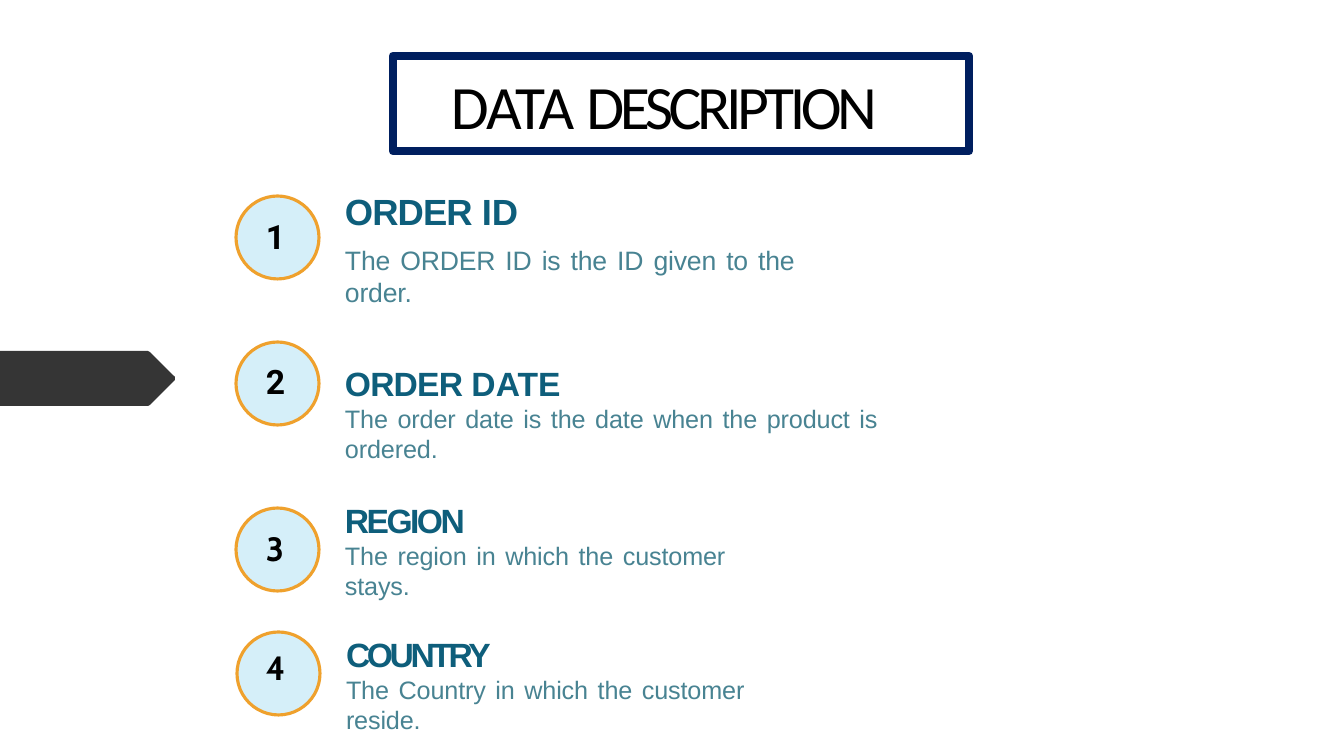
from dataclasses import dataclass

from pptx import Presentation
from pptx import util as u
from pptx.dml.color import RGBColor
from pptx.enum import shapes, text

EMU_PER_PX = 914400 / 100.8


@dataclass(frozen=True)
class Theme:
    """Colours, fonts and type sizes of the slide."""
    arrow: str = "353535"
    disc: str = "D5EFF9"
    ring: str = "EFA12D"
    frame: str = "001F5F"
    heading: str = "0E5E7B"
    body: str = "488392"
    ink: str = "000000"
    title_font: str = "Calibri"
    text_font: str = "Arial"
    title_size: int = 44
    digit_size: int = 24
    word_gap: float = 1.8


@dataclass(frozen=True)
class Span:
    text: str
    tracking: float = 0


@dataclass(frozen=True)
class Entry:
    digit_font: str
    disc_left: int
    disc_top: int
    digit_top: int
    left: int
    top: int
    width: int
    heading: tuple[Span, ...]
    body: str
    heading_size: int = 24
    body_size: int = 18
    inset: int = 1
    body_gap: float = 0


THEME = Theme()
DISC = 83
ENTRIES = (
    Entry("Roboto", 236, 196, 215, 345, 172, 498,
          (Span("ORDER ", -0.7), Span("ID")),
          "The ORDER ID is the ID given to the order.", 26, 19, 17, 7.9),
    Entry("Roboto", 236, 342, 360, 345, 362, 623,
          (Span("ORDER ", -0.6), Span("DATE")),
          "The order date is the date when the product is ordered."),
    Entry("Cabin", 236, 508, 527, 345, 499, 451,
          (Span("REGION", -1.8),),
          "The region in which the customer stays."),
    Entry("Cabin", 237, 632, 646, 346, 633, 478,
          (Span("COUNTRY", -2.4),),
          "The Country in which the customer reside."),
)
ARROW = ((0, 351), (0, 406), (148, 406), (150, 405), (175, 380),
         (175, 377), (150, 352), (148, 351))


def px(value: int) -> int:
    """Turn pixels into EMU."""
    return round(value * EMU_PER_PX)


def style(shape, fill: str = "", line: str = "", weight: float = 0) -> None:
    """Give a shape its fill and outline, without a shadow."""
    shape.shadow.inherit = False
    if fill:
        shape.fill.solid()
        shape.fill.fore_color.rgb = RGBColor.from_string(fill)
    else:
        shape.fill.background()
    if line:
        shape.line.color.rgb = RGBColor.from_string(line)
        shape.line.width = u.Pt(weight)
    else:
        shape.line.fill.background()


def add_box(page, left: int, top: int, width: int, height: int, inset: int = 1):
    """Add a wrapping text box and return its text frame."""
    frame = page.shapes.add_textbox(px(left), px(top), px(width), px(height)).text_frame
    frame.word_wrap = True
    frame.margin_left = frame.margin_right = frame.margin_bottom = 0
    frame.margin_top = px(inset)
    return frame


def write(para, spans: tuple[Span, ...], font: str, size: int, colour: str,
          bold: bool = False, before: float = 0) -> None:
    """Write tracked spans into a paragraph."""
    para.space_before = u.Pt(before)
    for span in spans:
        run = para.add_run()
        run.text = span.text
        run.font.name = font
        run.font.size = u.Pt(size)
        run.font.bold = bold
        run.font.color.rgb = RGBColor.from_string(colour)
        run.font._element.set("spc", str(round(span.tracking * 100)))


def spaced_words(sentence: str) -> tuple[Span, ...]:
    """Split a sentence into words and widened spaces."""
    first, *rest = sentence.split()
    spans = [Span(first, -0.1)]
    for word in rest:
        spans += [Span(" ", THEME.word_gap), Span(word, -0.1)]
    return tuple(spans)


def add_arrow(page) -> None:
    """Draw the pointer at the left edge."""
    builder = page.shapes.build_freeform(*map(px, ARROW[0]), scale=1.0)
    builder.add_line_segments([(px(x), px(y)) for x, y in ARROW[1:]], close=True)
    style(builder.convert_to_shape(), fill=THEME.arrow)


def add_title(page) -> None:
    """Draw the framed title."""
    frame = page.shapes.add_shape(shapes.MSO_SHAPE.RECTANGLE, px(393), px(56), px(576), px(95))
    style(frame, line=THEME.frame, weight=6.25)
    title = add_box(page, 451, 72, 462, 64)
    title.vertical_anchor = text.MSO_ANCHOR.MIDDLE
    write(title.paragraphs[0], (Span("DATA ", -1.3), Span("DESCRIPTION", -3.2)),
          THEME.title_font, THEME.title_size, THEME.ink, before=1)


def add_entry(page, number: int, entry: Entry) -> None:
    """Draw one numbered column description."""
    disc = page.shapes.add_shape(shapes.MSO_SHAPE.OVAL, px(entry.disc_left),
                                 px(entry.disc_top), px(DISC), px(DISC))
    style(disc, THEME.disc, THEME.ring, 2.25)
    digit = add_box(page, 266, entry.digit_top, 22, 43)
    write(digit.paragraphs[0], (Span(str(number)),), entry.digit_font,
          THEME.digit_size, THEME.ink, True, 1)
    frame = add_box(page, entry.left, entry.top, entry.width, 74, entry.inset)
    write(frame.paragraphs[0], entry.heading, THEME.text_font,
          entry.heading_size, THEME.heading, True, 1)
    write(frame.add_paragraph(), spaced_words(entry.body), THEME.text_font,
          entry.body_size, THEME.body, before=entry.body_gap)


def main() -> None:
    """Build and save the slide."""
    deck = Presentation()
    deck.slide_width, deck.slide_height = px(1344), px(756)
    page = deck.slides.add_slide(deck.slide_layouts[6])
    add_arrow(page)
    for number, entry in enumerate(ENTRIES, 1):
        add_entry(page, number, entry)
    add_title(page)
    deck.save("out.pptx")


if __name__ == "__main__":
    main()
